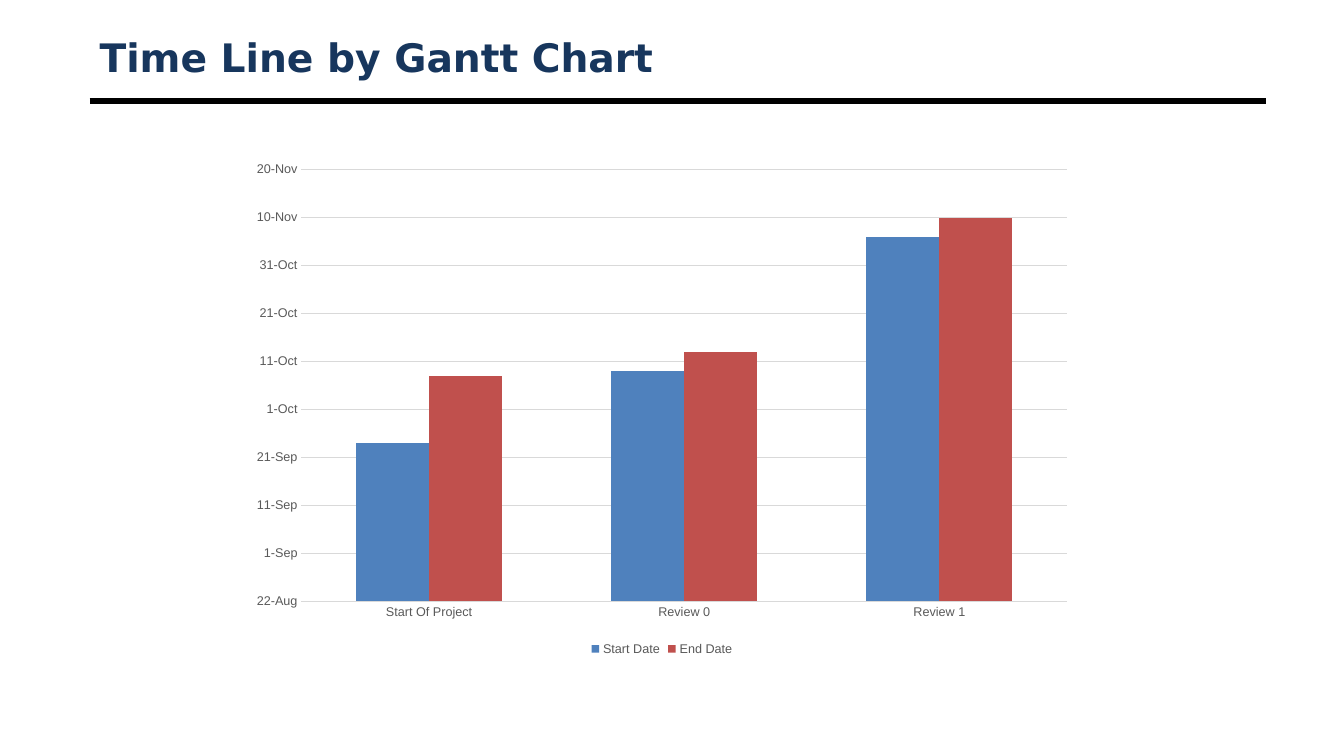
import pptx
import pptx.chart.data
import pptx.dml.color
import pptx.enum.chart
import pptx.enum.shapes
import pptx.enum.text
import pptx.util
from pptx.dml.color import RGBColor
from pptx.util import Inches, Pt

# Content: dates are day serials, shown as day and month
TITLE = "Time Line by Gantt Chart"
MILESTONES = ["Start Of Project", "Review 0", "Review 1"]
FIRST_DAY, LAST_DAY, DAY_STEP = 45160, 45250, 10
DATE_FORMAT = "d\\-mmm"

NAVY = RGBColor(0x17, 0x36, 0x5D)
BLACK = RGBColor(0, 0, 0)
GREY = RGBColor(0x59, 0x59, 0x59)
GRID_GREY = RGBColor(0xD9, 0xD9, 0xD9)
BLUE = RGBColor(0x4F, 0x81, 0xBD)
RED = RGBColor(0xC0, 0x50, 0x4D)

DATES = [
    ("Start Date", [45193, 45208, 45236], BLUE),
    ("End Date", [45207, 45212, 45240], RED),
]

LEFT, WIDTH = 0.89, 11.67


def style_font(font, size, color, name="Arial"):
    font.size = Pt(size)
    font.name = name
    font.color.rgb = color


presentation = pptx.Presentation()
presentation.slide_width = Inches(13.33)
presentation.slide_height = Inches(7.5)
slide = presentation.slides.add_slide(presentation.slide_layouts[6])

# Rule under the title
rule = slide.shapes.add_connector(
    pptx.enum.shapes.MSO_CONNECTOR.STRAIGHT,
    Inches(LEFT), Inches(1), Inches(LEFT + WIDTH), Inches(1))
rule.line.color.rgb = BLACK
rule.line.width = Pt(4.5)
rule._element.spPr.append(pptx.oxml.xmlchemy.OxmlElement("a:effectLst"))

# Title
heading = slide.shapes.add_textbox(
    Inches(LEFT), Inches(0.3), Inches(WIDTH), Inches(0.53)).text_frame
heading.word_wrap = True
heading.vertical_anchor = pptx.enum.text.MSO_ANCHOR.MIDDLE
heading.text = TITLE
heading_font = heading.paragraphs[0].font
style_font(heading_font, 28, NAVY, "DejaVu Sans")
heading_font.bold = True

# Timeline chart
timeline_data = pptx.chart.data.CategoryChartData(number_format=DATE_FORMAT)
timeline_data.categories = MILESTONES
for name, days, _ in DATES:
    timeline_data.add_series(name, days)
timeline = slide.shapes.add_chart(
    pptx.enum.chart.XL_CHART_TYPE.COLUMN_CLUSTERED,
    Inches(2.38), Inches(1.51), Inches(8.37), Inches(5.04),
    timeline_data).chart
style_font(timeline.font, 10, BLACK)
timeline.has_title = False

columns = timeline.plots[0]
columns.gap_width = 150
columns.overlap = 0
columns.vary_by_categories = False
for series, (_, _, color) in zip(columns.series, DATES):
    series.format.fill.solid()
    series.format.fill.fore_color.rgb = color

# Axes and gridlines
for axis in (timeline.category_axis, timeline.value_axis):
    axis.major_tick_mark = pptx.enum.chart.XL_TICK_MARK.NONE
    axis.minor_tick_mark = pptx.enum.chart.XL_TICK_MARK.NONE
    axis.format.line.fill.background()
    style_font(axis.tick_labels.font, 9, GREY)

date_axis = timeline.value_axis
date_axis.minimum_scale = FIRST_DAY
date_axis.maximum_scale = LAST_DAY
date_axis.major_unit = DAY_STEP
date_axis.tick_labels.number_format = DATE_FORMAT
date_axis.tick_labels.number_format_is_linked = False
date_axis.has_major_gridlines = True
date_axis.major_gridlines.format.line.color.rgb = GRID_GREY
date_axis.major_gridlines.format.line.width = Pt(0.75)

# Legend
timeline.has_legend = True
timeline.legend.position = pptx.enum.chart.XL_LEGEND_POSITION.BOTTOM
timeline.legend.include_in_layout = False
style_font(timeline.legend.font, 9, GREY)

presentation.save("out.pptx")
